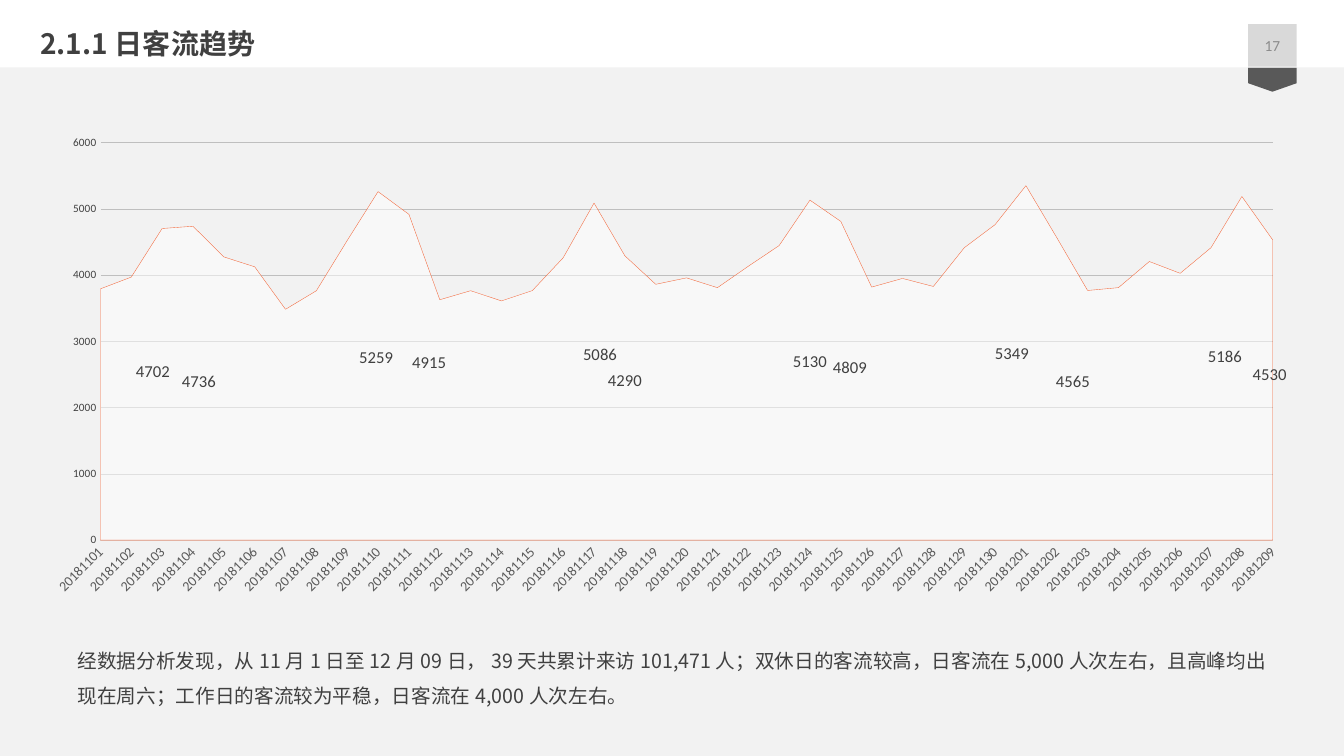
"""Build the daily visitor trend slide with an area chart."""
from lxml import etree
from pptx import Presentation
from pptx import util as u
from pptx.chart.data import CategoryChartData
from pptx.dml.color import RGBColor
from pptx.enum import chart as ch, dml, shapes, text
from pptx.oxml import parse_xml
from pptx.oxml.ns import nsdecls, qn

PX = 9144
SANS, LATIN = "Noto Sans CJK SC", "Calibri"
COLORS = {
    "white": "FFFFFF", "page": "F2F2F2", "ribbon": "595959", "badge": "D9D9D9",
    "number": "8C8C8C", "ink": "404040", "grid": "BFBFBF", "orange": "F36639",
}
DAYS = [f"201811{d:02}" for d in range(1, 31)] + [f"201812{d:02}" for d in range(1, 10)]
VISITS = [
    3792, 3969, 4702, 4736, 4274, 4124, 3483, 3763, 4521, 5259, 4915, 3627, 3764,
    3610, 3765, 4261, 5086, 4290, 3860, 3957, 3809, 4132, 4444, 5130, 4809, 3818,
    3949, 3828, 4411, 4760, 5349, 4565, 3767, 3810, 4204, 4026, 4413, 5186, 4530,
]
CHART = (45, 132, 1241, 495)
SHIFTS = {
    2: (-9, -13), 3: (6, -2), 9: (-2, -8), 10: (20, -14), 16: (6, -17), 17: (0, -17),
    23: (0, -8), 24: (9, -13), 30: (-14, -9), 31: (16, -7), 37: (-17, -12), 38: (-3, -15),
}
TITLE = "2.1.1日客流趋势"
NOTE = (
    "经数据分析发现，从11月1日至12月09日，39天共累计来访101,471人；"
    "双休日的客流较高，日客流在5,000人次左右，且高峰均出现在周六；"
    "工作日的客流较为平稳，日客流在4,000人次左右。"
)


def rgb(name):
    return RGBColor.from_string(COLORS[name])


def scale(box):
    return [n * PX for n in box]


def style(font, size, color, face=LATIN, bold=False):
    font.size, font.name, font.bold = u.Pt(size), face, bold
    font.color.rgb = rgb(color)


def stroke(line, color, width):
    line.color.rgb = rgb(color)
    line.width = u.Pt(width)


def block(slide, box, color, kind=shapes.MSO_SHAPE.RECTANGLE):
    shape = slide.shapes.add_shape(kind, *scale(box))
    shape.shadow.inherit = False
    shape.fill.solid()
    shape.fill.fore_color.rgb = rgb(color)
    shape.line.fill.background()
    return shape


def write(holder, box, words, size, bold=False, gap=1.0):
    holder.left, holder.top, holder.width, holder.height = scale(box)
    frame = holder.text_frame
    frame.text = words
    frame.word_wrap = True
    frame.auto_size = text.MSO_AUTO_SIZE.SHAPE_TO_FIT_TEXT
    frame.vertical_anchor = text.MSO_ANCHOR.TOP
    para = frame.paragraphs[0]
    para.alignment = text.PP_ALIGN.LEFT
    para.line_spacing, para.space_before = gap, u.Pt(0)
    props = para._p.get_or_add_pPr()
    props.set("marL", "0")
    props.set("indent", "0")
    etree.SubElement(props, qn("a:buNone"))
    style(para.font, size, "ink", SANS, bold)
    face = etree.SubElement(props.find(qn("a:defRPr")), qn("a:ea"))
    face.set("typeface", SANS)


def layout(**values):
    parts = "".join(f'<c:{key} val="{val}"/>' for key, val in values.items())
    return parse_xml(
        f'<c:layout {nsdecls("c")}><c:manualLayout>{parts}</c:manualLayout></c:layout>'
    )


def label(series):
    series.data_labels.show_value = False
    for day, (dx, dy) in SHIFTS.items():
        style(series.points[day].data_label.font, 11.9, "ink")
    for mark in series._element.iter(qn("c:dLbl")):
        idx = mark.find(qn("c:idx"))
        dx, dy = SHIFTS[int(idx.get("val"))]
        idx.addnext(layout(x=round(dx / CHART[2], 4), y=round(dy / CHART[3], 4)))


def axes(chart):
    days, count = chart.category_axis, chart.value_axis
    for axis, size, color in ((days, 10, "ribbon"), (count, 8, "ink")):
        axis.major_tick_mark = axis.minor_tick_mark = ch.XL_TICK_MARK.NONE
        style(axis.tick_labels.font, size, color)
    days.has_major_gridlines = False
    stroke(days.format.line, "badge", 0.75)
    days._element.find(".//" + qn("a:bodyPr")).set("rot", "-2700000")
    count.minimum_scale, count.maximum_scale, count.major_unit = 0, 6000, 1000
    count.has_major_gridlines = True
    count.format.line.fill.background()
    grid = count.major_gridlines.format.line
    stroke(grid, "grid", 0.25)
    grid.dash_style = dml.MSO_LINE.ROUND_DOT
    count._element.find(qn("c:crossBetween")).set("val", "midCat")


def trend(slide):
    data = CategoryChartData()
    data.categories = DAYS
    data.add_series("Series 1", VISITS)
    frame = slide.shapes.add_chart(ch.XL_CHART_TYPE.AREA, *scale(CHART), data)
    chart = frame.chart
    chart.has_legend = chart.has_title = False
    style(chart.font, 10, "ink")
    axes(chart)
    area = chart._chartSpace.find(".//" + qn("c:plotArea"))
    for old in area.findall(qn("c:layout")):
        area.remove(old)
    area.insert(0, layout(layoutTarget="inner", xMode="edge", yMode="edge",
                          x=0.044, y=0.019, w=0.937, h=0.797))
    plot = chart.plots[0]
    plot.vary_by_categories = False
    series = plot.series[0]
    fill = series.format.fill
    fill.solid()
    fill.fore_color.rgb = rgb("white")
    tint = series._element.find(".//" + qn("a:srgbClr"))
    etree.SubElement(tint, qn("a:alpha")).set("val", "53000")
    stroke(series.format.line, "orange", 0.25)
    label(series)


def badge(slide):
    shape = block(slide, (1238, 24, 48, 42), "badge")
    frame = shape.text_frame
    frame.margin_left = frame.margin_right = 0
    frame.vertical_anchor = text.MSO_ANCHOR.MIDDLE
    frame.text = "17"
    para = frame.paragraphs[0]
    para.alignment = text.PP_ALIGN.CENTER
    style(para.font, 11, "number")


def main():
    deck = Presentation()
    deck.slide_width, deck.slide_height = scale((1333, 750))
    slide = deck.slides.add_slide(deck.slide_layouts[1])
    title, body = slide.placeholders
    block(slide, (0, 0, 1333, 750), "page")
    ribbon = block(slide, (1250, 55, 24, 48), "ribbon", shapes.MSO_SHAPE.PENTAGON)
    ribbon.rotation = 90
    ribbon.adjustments[0] = 0.35
    block(slide, (0, 0, 1333, 67), "white")
    badge(slide)
    trend(slide)
    write(body, (67, 627, 1200, 77), NOTE, 14, gap=1.5)
    write(title, (30, 21, 1133, 44), TITLE, 20, bold=True)
    for holder in (body, title):
        slide.shapes._spTree.append(holder._element)
    deck.save("out.pptx")


if __name__ == "__main__":
    main()
